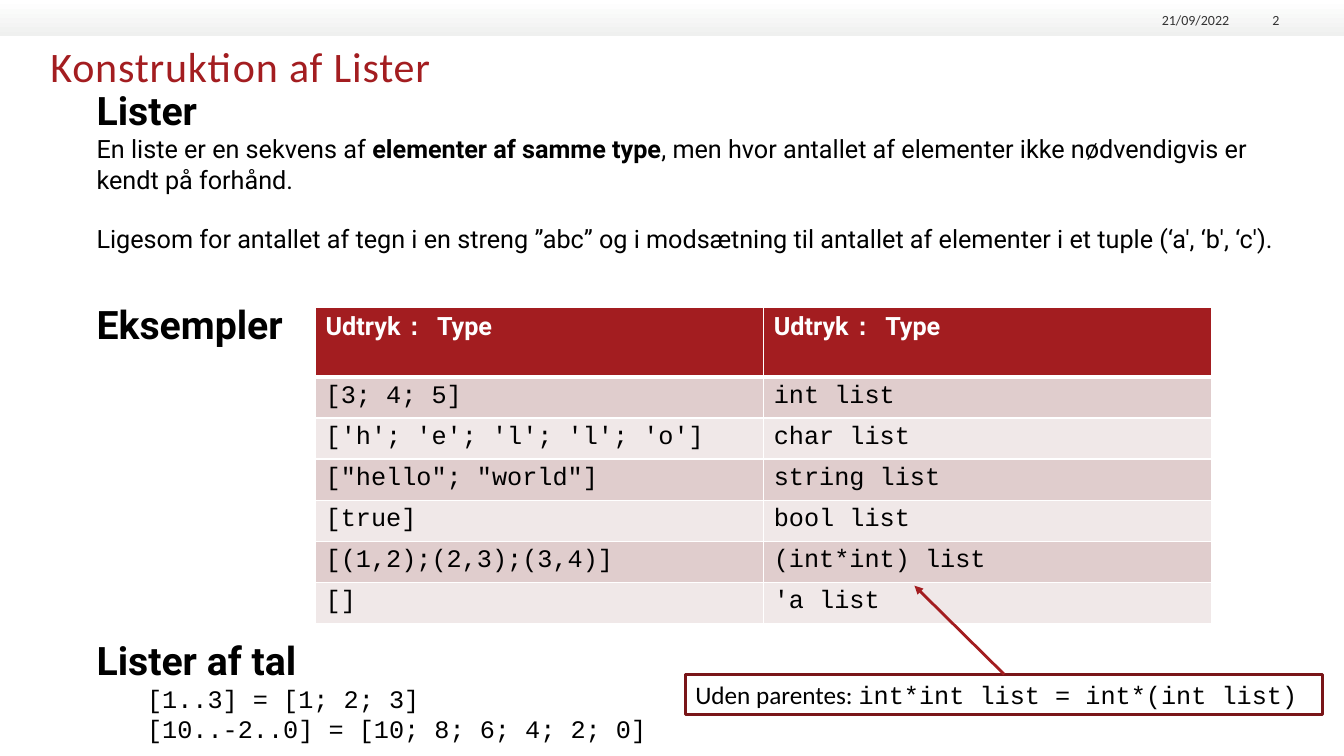
from lxml import etree
from pptx import Presentation
from pptx import util as u
from pptx.dml.color import RGBColor
from pptx.enum import shapes, text
from pptx.oxml import ns

WIDTH, HEIGHT = u.Inches(13.33), u.Inches(7.5)
RED, DARK_RED, BLACK, GREY, WHITE = "A31D20", "791518", "000000", "333333", "FFFFFF"
BANDS = ["E0CDCD", "F0E8E8"]

# Text formats
HEADING = {"name": "Roboto", "size": u.Pt(28), "bold": True}
BODY = {"name": "Roboto", "size": u.Pt(18), "bold": False}
STRONG = {**BODY, "bold": True}
CODE = {**BODY, "name": "Courier New"}
STRONG_CODE = {**CODE, "bold": True}
LABEL = {**BODY, "name": "Calibri"}
TITLE = {"name": "Calibri", "size": u.Pt(30), "bold": False}
SMALL = {"name": "Calibri", "size": u.Pt(10), "bold": False}

EXAMPLES = [
    ("[3; 4; 5]", "int list"),
    ("['h'; 'e'; 'l'; 'l'; 'o']", "char list"),
    ('["hello"; "world"]', "string list"),
    ("[true]", "bool list"),
    ("[(1,2);(2,3);(3,4)]", "(int*int) list"),
    ("[]", "'a list"),
]


def color(value):
    return RGBColor.from_string(value)


def across(share):
    """Length as a percentage of the slide width."""
    return u.Emu(round(WIDTH * share / 100))


def down(share):
    """Length as a percentage of the slide height."""
    return u.Emu(round(HEIGHT * share / 100))


def place(left, top, width, height):
    return across(left), down(top), across(width), down(height)


def set_all(target, values):
    for name, value in values.items():
        setattr(target, name, value)


def add_xml(parent, tag, **attributes):
    return etree.SubElement(parent, ns.qn(tag), attributes)


def write(frame, paragraphs, ink=BLACK):
    """Each paragraph is a list of (words, format) and a dict of paragraph values."""
    for index, (spans, layout) in enumerate(paragraphs):
        para = frame.add_paragraph() if index else frame.paragraphs[0]
        layout = dict(layout)
        indent = layout.pop("indent", None)
        set_all(para, layout)
        if indent:
            para._p.get_or_add_pPr().set("marL", str(indent))
        for words, style in spans:
            span = para.add_run()
            span.text = words
            set_all(span.font, style)
            span.font.color.rgb = color(ink)


def add_text(page, area, paragraphs, ink=BLACK, **frame_values):
    box = page.shapes.add_textbox(*place(*area))
    set_all(box.text_frame, {"word_wrap": True, **frame_values})
    write(box.text_frame, paragraphs, ink)
    return box


def add_plain(page, area, words, style, ink, align=text.PP_ALIGN.LEFT,
              anchor=text.MSO_ANCHOR.TOP):
    return add_text(page, area, [([(words, style)], {"alignment": align})], ink,
                    margin_left=0, margin_right=0, margin_top=0, margin_bottom=0,
                    vertical_anchor=anchor)


def add_band(page):
    band = page.shapes.add_shape(shapes.MSO_SHAPE.RECTANGLE, *place(0, 0, 100, 4.8))
    band.shadow.inherit = False
    band.line.fill.background()
    band.fill.gradient()
    band.fill.gradient_angle = 270
    for stop, position, shade in zip(band.fill.gradient_stops, (0, 1), (WHITE, "EFF0EF")):
        stop.position = position
        stop.color.rgb = color(shade)


def fill_cell(cell, spans, ink, shade, bottom=1):
    write(cell.text_frame, [(spans, {})], ink)
    properties = cell._tc.get_or_add_tcPr()
    for side, points in (("L", 1), ("R", 1), ("T", 1), ("B", bottom)):
        border = add_xml(properties, f"a:ln{side}", w=str(u.Pt(points)))
        add_xml(add_xml(border, "a:solidFill"), "a:srgbClr", val=WHITE)
    cell.fill.solid()
    cell.fill.fore_color.rgb = color(shade)


def add_examples(page):
    header, row_height = 9.2, 5.43
    area = place(23.48, 40.67, 66.7, header + row_height * len(EXAMPLES))
    table = page.shapes.add_table(len(EXAMPLES) + 1, 2, *area).table
    table.rows[0].height = down(header)
    heading = [("Udtryk ", STRONG), (": ", STRONG_CODE), ("Type", STRONG)]
    for column in range(2):
        fill_cell(table.cell(0, column), heading, WHITE, RED, bottom=3)
    for row, example in enumerate(EXAMPLES, 1):
        table.rows[row].height = down(row_height)
        for column, words in enumerate(example):
            fill_cell(table.cell(row, column), [(words, CODE)], BLACK, BANDS[(row - 1) % 2])


def add_note(page, area, spans):
    note = page.shapes.add_shape(shapes.MSO_SHAPE.RECTANGLE, *place(*area))
    note.shadow.inherit = False
    note.fill.background()
    note.line.color.rgb = color(DARK_RED)
    note.line.width = u.Pt(2)
    set_all(note.text_frame, {"word_wrap": False, "vertical_anchor": text.MSO_ANCHOR.TOP})
    write(note.text_frame, [(spans, {"alignment": text.PP_ALIGN.LEFT})])


def add_arrow(page, start, end):
    arrow = page.shapes.add_connector(
        shapes.MSO_CONNECTOR.STRAIGHT,
        across(start[0]), down(start[1]), across(end[0]), down(end[1]))
    arrow.line.color.rgb = color(RED)
    arrow.line.width = u.Pt(2)
    add_xml(arrow.line._get_or_add_ln(), "a:tailEnd", type="triangle")
    add_xml(arrow._element.spPr, "a:effectLst")


def main():
    deck = Presentation()
    set_all(deck, {"slide_width": WIDTH, "slide_height": HEIGHT})
    page = deck.slides.add_slide(deck.slide_layouts[6])

    # Top band with date and page number
    add_band(page)
    for left, width, words in ((84.77, 6.68, "21/09/2022"), (92.05, 3.15, "2")):
        add_plain(page, (left, 1.2, width, 2.53), words, SMALL, GREY,
                  text.PP_ALIGN.RIGHT, text.MSO_ANCHOR.BOTTOM)

    # Title
    title = add_plain(page, (3.75, 5.33, 86.27, 5.87), "Konstruktion af Lister", TITLE, RED)
    title.text_frame.paragraphs[0].runs[0].font._element.set("spc", "60")

    # Explanation
    add_text(page, (6.45, 10.8, 90, 40.4), [
        ([("Lister", HEADING)], {}),
        ([("En liste er en sekvens af ", BODY),
          ("elementer af samme type", STRONG),
          (", men hvor antallet af elementer ikke nødvendigvis er kendt på forhånd.", BODY)], {}),
        ([("Ligesom for antallet af tegn i en streng ”abc” og i modsætning til antallet "
           "af elementer i et tuple (‘a', ‘b', ‘c').", BODY)], {"space_before": u.Pt(21)}),
        ([("Eksempler", HEADING)], {"space_before": u.Pt(33)}),
    ])

    # Examples
    add_examples(page)

    # Lists of numbers
    step = {"level": 1, "indent": u.Inches(0.5)}
    add_text(page, (6.45, 83.47, 42.61, 15.73), [
        ([("Lister af tal", HEADING)], {}),
        ([("[1..3] = [1; 2; 3]", CODE)], step),
        ([("[10..-2..0] = [10; 8; 6; 4; 2; 0]", CODE)], step),
    ], word_wrap=False)

    # Note on parentheses
    add_note(page, (51, 89.2, 47.41, 5.33),
             [("Uden parentes: ", LABEL), ("int*int list = int*(int list)", CODE)])
    add_arrow(page, (74.72, 89.2), (68.04, 77.47))

    deck.save("out.pptx")


if __name__ == "__main__":
    main()
